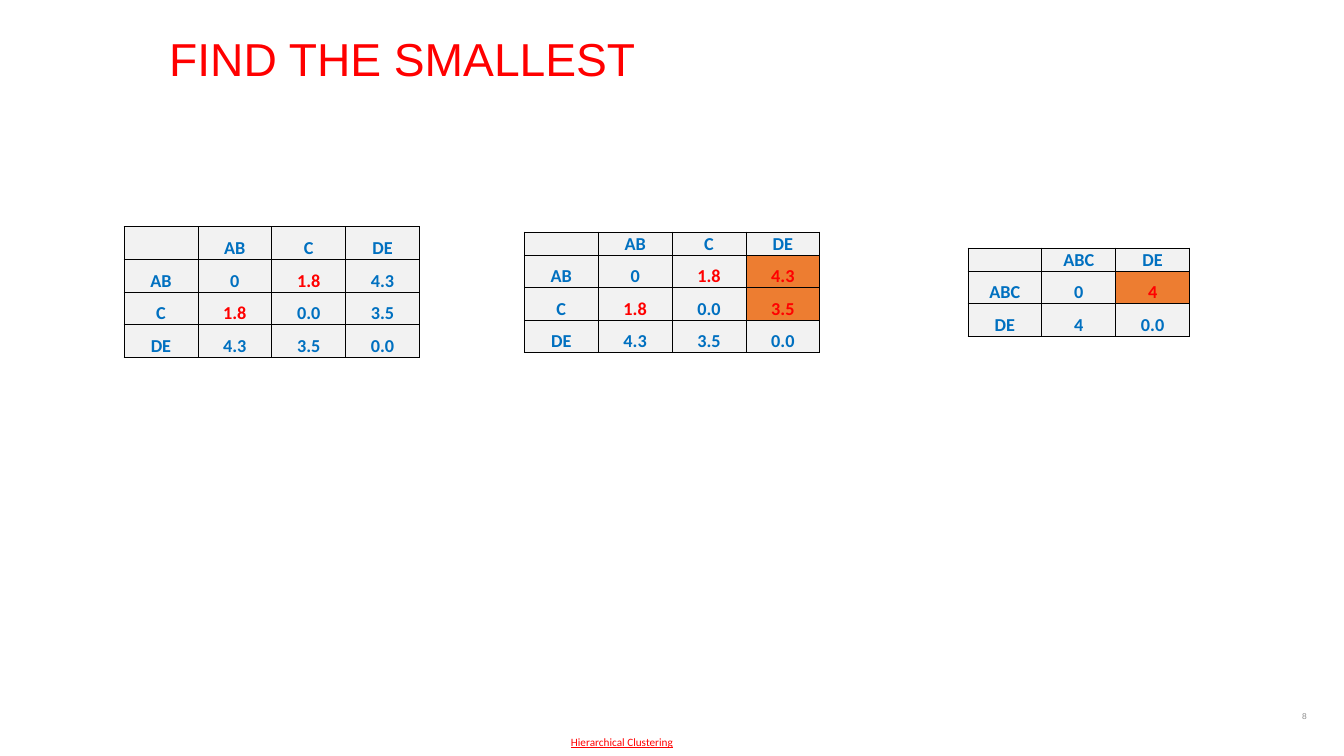
"""Build the slide that compares cluster distance matrices."""
from dataclasses import dataclass

from lxml import etree
from pptx import Presentation
from pptx.dml.color import RGBColor
from pptx.enum.text import MSO_ANCHOR, PP_ALIGN
from pptx.oxml.ns import qn
from pptx.slide import Slide
from pptx.table import _Cell
from pptx.util import Inches, Pt

LEFT, CENTER, RIGHT = PP_ALIGN.LEFT, PP_ALIGN.CENTER, PP_ALIGN.RIGHT
TOP, MIDDLE, BOTTOM = MSO_ANCHOR.TOP, MSO_ANCHOR.MIDDLE, MSO_ANCHOR.BOTTOM


@dataclass(frozen=True)
class Theme:
    red: str = "FF0000"
    blue: str = "0070C0"
    orange: str = "ED7D31"
    light: str = "F2F2F2"
    gray: str = "8C8C8C"
    black: str = "000000"
    heading_font: str = "Arial"
    body_font: str = "Calibri"
    title_size: float = 33
    cell_size: float = 13
    footer_size: float = 8
    number_size: float = 6
    border_width: float = 0.5


THEME = Theme()
COLUMN_WIDTH = 0.733
ROW_HEIGHT = 0.323


@dataclass(frozen=True)
class Label:
    text: str
    left: float
    top: float
    width: float
    height: float
    font: str
    size: float
    color: str
    align: PP_ALIGN
    anchor: MSO_ANCHOR = MIDDLE
    line_spacing: float = 1.0
    underline: bool = False


@dataclass(frozen=True)
class DistanceMatrix:
    left: float
    top: float
    header_height: float
    clusters: tuple[str, ...]
    distances: tuple[tuple[str, ...], ...]
    smallest: str
    highlighted: tuple[tuple[int, int], ...] = ()


THREE_CLUSTERS = ("AB", "C", "DE")
THREE_DISTANCES = (("0", "1.8", "4.3"), ("1.8", "0.0", "3.5"), ("4.3", "3.5", "0.0"))

MATRICES = (
    DistanceMatrix(1.23, 2.25, ROW_HEIGHT, THREE_CLUSTERS, THREE_DISTANCES, "1.8"),
    DistanceMatrix(5.2, 2.3, 0.23, THREE_CLUSTERS, THREE_DISTANCES, "1.8",
                   ((1, 3), (2, 3))),
    DistanceMatrix(9.6, 2.46, 0.23, ("ABC", "DE"), (("0", "4"), ("4", "0.0")), "",
                   ((1, 2),)),
)

LABELS = (
    Label("FIND THE SMALLEST", 1.58, 0.31, 11.5, 1.04, THEME.heading_font,
          THEME.title_size, THEME.red, LEFT, TOP, line_spacing=0.9),
    Label("Hierarchical Clustering", 3.92, 7.16, 4.5, 0.4, THEME.body_font,
          THEME.footer_size, THEME.red, CENTER, underline=True),
    Label("8", 10.06, 6.9, 3, 0.4, THEME.heading_font,
          THEME.number_size, THEME.gray, RIGHT),
)


def add_label(slide: Slide, label: Label) -> None:
    """Place one line of text on the slide."""
    box = slide.shapes.add_textbox(Inches(label.left), Inches(label.top),
                                   Inches(label.width), Inches(label.height))
    frame = box.text_frame
    frame.word_wrap = True
    frame.vertical_anchor = label.anchor
    paragraph = frame.paragraphs[0]
    paragraph.text = label.text
    paragraph.alignment = label.align
    paragraph.line_spacing = label.line_spacing
    font = paragraph.font
    font.name, font.size = label.font, Pt(label.size)
    font.color.rgb = RGBColor.from_string(label.color)
    if label.underline:
        font.underline = True


def add_borders(cell: _Cell) -> None:
    """Draw a thin line on every side of a cell."""
    properties = cell._tc.get_or_add_tcPr()
    for side in ("a:lnL", "a:lnR", "a:lnT", "a:lnB"):
        line = etree.SubElement(properties, qn(side), w=str(Pt(THEME.border_width)))
        fill = etree.SubElement(line, qn("a:solidFill"))
        etree.SubElement(fill, qn("a:srgbClr"), val=THEME.black)


def fill_cell(cell: _Cell, text: str, color: str, background: str) -> None:
    """Write and style one matrix cell."""
    cell.margin_left = cell.margin_right = cell.margin_top = Inches(0.01)
    cell.margin_bottom = 0
    cell.vertical_anchor = BOTTOM
    add_borders(cell)
    cell.fill.solid()
    cell.fill.fore_color.rgb = RGBColor.from_string(background)
    paragraph = cell.text_frame.paragraphs[0]
    paragraph.alignment = CENTER
    font = paragraph.font
    font.name, font.size, font.bold = THEME.body_font, Pt(THEME.cell_size), True
    font.color.rgb = RGBColor.from_string(color)
    if text:
        paragraph.text = text
    else:
        etree.SubElement(paragraph._p, qn("a:endParaRPr"), sz=str(THEME.cell_size * 100))


def add_matrix(slide: Slide, matrix: DistanceMatrix) -> None:
    """Draw a distance matrix with its cluster names on both axes."""
    grid = [("", *matrix.clusters)]
    grid += [(name, *row) for name, row in zip(matrix.clusters, matrix.distances)]
    count = len(grid)
    height = matrix.header_height + ROW_HEIGHT * (count - 1)
    table = slide.shapes.add_table(count, count, Inches(matrix.left), Inches(matrix.top),
                                   Inches(COLUMN_WIDTH * count), Inches(height)).table
    table.first_row = table.horz_banding = False
    for column in table.columns:
        column.width = Inches(COLUMN_WIDTH)
    for r, values in enumerate(grid):
        table.rows[r].height = Inches(ROW_HEIGHT if r else matrix.header_height)
        for c, text in enumerate(values):
            highlighted = (r, c) in matrix.highlighted
            marked = highlighted or (text and text == matrix.smallest)
            fill_cell(table.cell(r, c), text, THEME.red if marked else THEME.blue,
                      THEME.orange if highlighted else THEME.light)


def main() -> None:
    """Build and save the presentation."""
    presentation = Presentation()
    presentation.slide_width, presentation.slide_height = Inches(13.33), Inches(7.5)
    slide = presentation.slides.add_slide(presentation.slide_layouts[6])
    for matrix in MATRICES:
        add_matrix(slide, matrix)
    for label in LABELS:
        add_label(slide, label)
    presentation.save("out.pptx")


if __name__ == "__main__":
    main()
